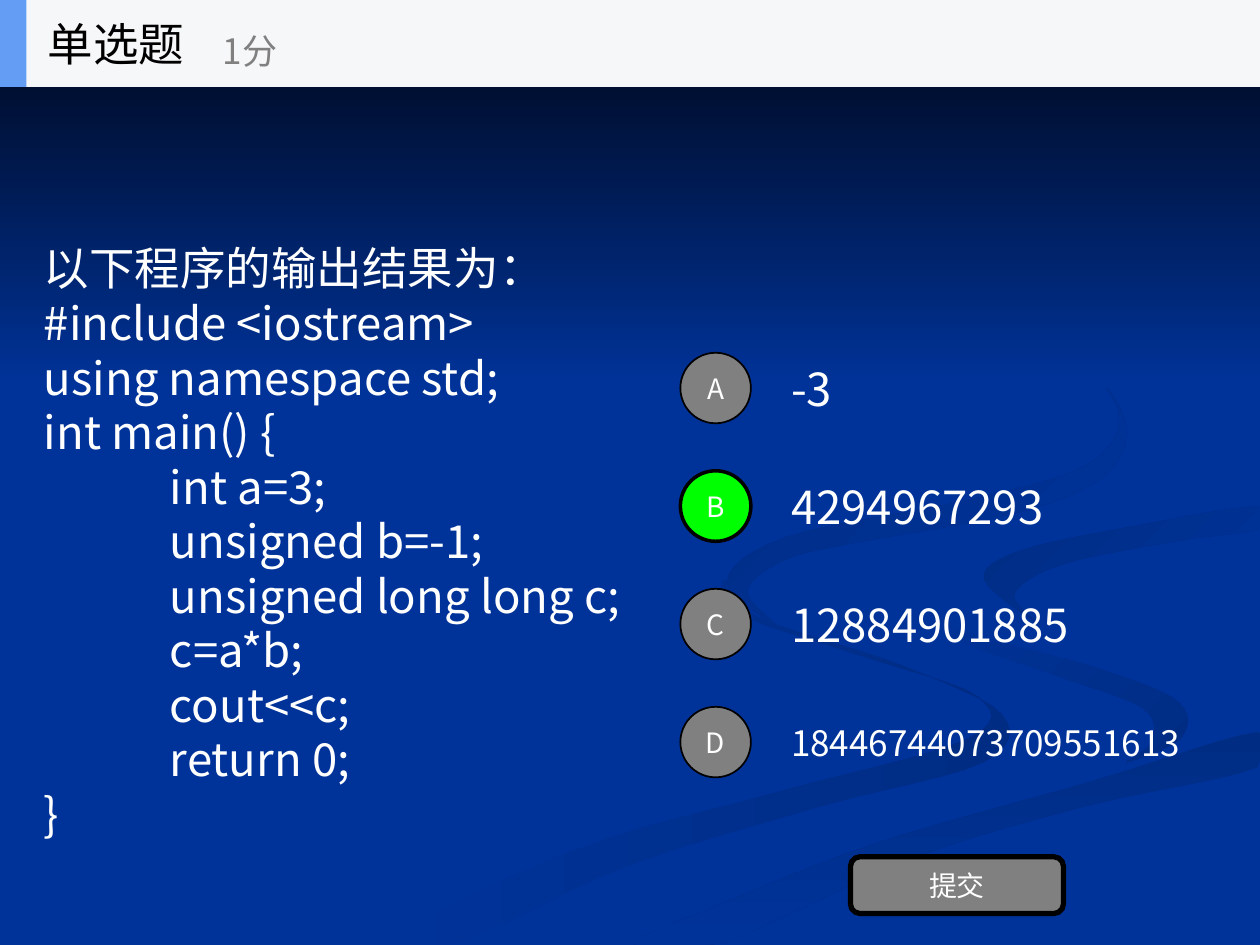
from dataclasses import dataclass

from lxml.etree import SubElement
from pptx import Presentation
from pptx.dml.color import RGBColor
from pptx.enum.shapes import MSO_SHAPE
from pptx.enum.text import MSO_ANCHOR, MSO_AUTO_SIZE, PP_ALIGN
from pptx.oxml.ns import qn
from pptx.shapes.autoshape import Shape
from pptx.slide import Slide
from pptx.util import Inches, Pt


@dataclass(frozen=True)
class Theme:
    font: str = "Noto Sans CJK SC"
    navy: str = "003399"
    shade: str = "002C84"
    night: str = "000514"
    white: str = "FFFFFF"
    black: str = "000000"
    grey: str = "808080"
    correct: str = "00FF00"
    banner: str = "F6F7F8"
    accent: str = "639EF4"
    body_size: int = 26
    small_size: int = 20
    button_size: int = 16


@dataclass(frozen=True)
class Frame:
    left: float
    top: float
    width: float
    height: float

    def lengths(self) -> tuple:
        return tuple(Inches(v) for v in (self.left, self.top, self.width, self.height))


@dataclass(frozen=True)
class Ribbon:
    start: str
    end: str
    angle: int
    outline: tuple


@dataclass(frozen=True)
class Option:
    letter: str
    answer: str
    correct: bool = False
    size: int = 26
    width: float = 3.16


THEME = Theme()
SLIDE_WIDTH, SLIDE_HEIGHT = 10, 7.5
CURVE_STEPS = 6

RIBBONS = (
    Ribbon(THEME.navy, THEME.shade, 0, (
        (5.75, 4.6), (5.86, 4.87), (6.79, 5.19), (7.76, 5.53), (7.67, 5.87), (6.16, 6.29),
        (4.58, 6.74), (3, 7.49), (3.61, 7.49), (4.99, 6.87), (6.51, 6.4), (7.8, 6.05),
        (7.95, 5.67), (7.15, 5.28), (6.02, 4.9))),
    Ribbon(THEME.navy, THEME.shade, 45, (
        (7.24, 4.64), (7.55, 5.05), (8.38, 5.36), (9.07, 5.62), (9.14, 5.89), (8.94, 6.05),
        (9.37, 5.86), (9.35, 5.57), (8.7, 5.3), (7.58, 4.98))),
    Ribbon(THEME.shade, THEME.navy, 90, (
        (5.03, 7.49), (5.71, 7.49), (7.22, 6.82), (8.61, 6.4), (9.98, 6.09), (9.98, 5.81),
        (8.67, 6.2), (6.96, 6.69), (5.69, 7.19))),
    Ribbon(THEME.shade, THEME.navy, 45, (
        (7.81, 4.6), (8.26, 4.96), (8.05, 4.72), (8.43, 4.48), (9.36, 4.29), (9.98, 4.2),
        (9.98, 4.02), (8.98, 4.18), (8.1, 4.37))),
    Ribbon(THEME.shade, THEME.navy, 45, (
        (6.83, 4.3), (8.07, 4.07), (8.76, 3.78), (8.93, 3.35), (8.54, 2.83), (7.62, 2.33),
        (8.46, 2.79), (8.88, 3.28), (8.61, 3.7), (7.63, 3.98), (6.25, 4.26), (5.77, 4.62),
        (6.22, 5), (5.93, 4.7), (6.24, 4.44))),
)

QUESTION = (
    "以下程序的输出结果为：",
    "#include <iostream>",
    "using namespace std;",
    "int main() {",
    "\tint a=3;",
    "\tunsigned b=-1;",
    "\tunsigned long long c;",
    "\tc=a*b;",
    "\tcout<<c;",
    "\treturn 0;",
    "}",
)

OPTIONS = (
    Option("A", "-3"),
    Option("B", "4294967293", correct=True),
    Option("C", "12884901885"),
    Option("D", "18446744073709551613", size=THEME.small_size, width=3.55),
)
FIRST_TOP, LAST_TOP = 2.73, 5.54


def curve_value(a: float, b: float, c: float, d: float, t: float) -> float:
    bend = (2 * a - 5 * b + 4 * c - d) * t**2 + (3 * b - a - 3 * c + d) * t**3
    return b + ((c - a) * t + bend) / 2


def smooth_outline(knots: tuple) -> list:
    points = []
    for index in range(len(knots)):
        near = [knots[(index + shift) % len(knots)] for shift in (-1, 0, 1, 2)]
        for step in range(CURVE_STEPS):
            x, y = (curve_value(*axis, step / CURVE_STEPS) for axis in zip(*near))
            points.append((Inches(min(x, SLIDE_WIDTH)), Inches(min(y, SLIDE_HEIGHT))))
    return points


def write_lines(box: Shape, lines: tuple, size: int, color: str,
                align: PP_ALIGN = PP_ALIGN.LEFT) -> None:
    frame = box.text_frame
    frame.word_wrap = True
    frame.auto_size = MSO_AUTO_SIZE.NONE
    frame.vertical_anchor = MSO_ANCHOR.MIDDLE
    for index, line in enumerate(lines):
        para = frame.add_paragraph() if index else frame.paragraphs[0]
        para.alignment = align
        if line.startswith("\t"):
            tabs = SubElement(para._p.get_or_add_pPr(), qn("a:tabLst"))
            SubElement(tabs, qn("a:tab"), pos=str(Inches(1)), algn="l")
        span = para.add_run()
        span.text = line
        span.font.size = Pt(size)
        span.font.name = THEME.font
        span.font.color.rgb = RGBColor.from_string(color)
        SubElement(span._r.get_or_add_rPr(), qn("a:ea"), typeface=THEME.font)


def add_text(page: Slide, frame: Frame, lines: tuple, size: int, color: str) -> None:
    write_lines(page.shapes.add_textbox(*frame.lengths()), lines, size, color)


def add_block(page: Slide, kind: MSO_SHAPE, frame: Frame, fill: str, line: int = 0) -> Shape:
    shape = page.shapes.add_shape(kind, *frame.lengths())
    shape.shadow.inherit = False
    shape.fill.solid()
    shape.fill.fore_color.rgb = RGBColor.from_string(fill)
    if line:
        shape.line.color.rgb = RGBColor.from_string(THEME.black)
        shape.line.width = Pt(line)
    else:
        shape.line.fill.background()
    return shape


def fill_gradient(shape: Shape, start: str, end: str, angle: int) -> None:
    shape.fill.gradient()
    shape.fill.gradient_angle = (360 - angle) % 360
    for position, (stop, color) in enumerate(zip(shape.fill.gradient_stops, (start, end))):
        stop.color.rgb = RGBColor.from_string(color)
        stop.position = position


def add_ribbon(page: Slide, ribbon: Ribbon) -> None:
    first, *rest = smooth_outline(ribbon.outline)
    builder = page.shapes.build_freeform(*first)
    builder.add_line_segments(rest, close=True)
    shape = builder.convert_to_shape()
    shape.shadow.inherit = False
    shape.line.fill.background()
    fill_gradient(shape, ribbon.start, ribbon.end, ribbon.angle)


def add_option(page: Slide, option: Option, top: float) -> None:
    add_text(page, Frame(6.18, top, option.width, 0.7), (option.answer,), option.size, THEME.white)
    fill, line = (THEME.correct, 2) if option.correct else (THEME.grey, 1)
    circle = add_block(page, MSO_SHAPE.OVAL, Frame(5.4, top + 0.07, 0.56, 0.56), fill, line)
    write_lines(circle, (option.letter,), THEME.button_size, THEME.white, PP_ALIGN.CENTER)


def add_header(page: Slide) -> None:
    add_block(page, MSO_SHAPE.RECTANGLE, Frame(0, 0, SLIDE_WIDTH, 0.69), THEME.banner)
    add_block(page, MSO_SHAPE.RECTANGLE, Frame(0, 0, 0.21, 0.69), THEME.accent)
    title = page.shapes.title
    title.left, title.top, title.width, title.height = Frame(0.28, 0, 2.08, 0.69).lengths()
    write_lines(title, ("单选题",), THEME.body_size, THEME.black)
    page.shapes._spTree.append(title.element)
    add_text(page, Frame(1.67, 0.12, 2.5, 0.56), ("1分",), THEME.small_size, THEME.grey)


def main() -> None:
    deck = Presentation()
    deck.slide_width, deck.slide_height = Inches(SLIDE_WIDTH), Inches(SLIDE_HEIGHT)
    page = deck.slides.add_slide(deck.slide_layouts[5])
    page.background.fill.solid()
    page.background.fill.fore_color.rgb = RGBColor.from_string(THEME.navy)
    for ribbon in RIBBONS:
        add_ribbon(page, ribbon)
    sky = add_block(page, MSO_SHAPE.RECTANGLE, Frame(0, 0, SLIDE_WIDTH, 3.08), THEME.navy)
    fill_gradient(sky, THEME.night, THEME.navy, 90)
    add_text(page, Frame(0.25, 1.79, 5.04, 5), QUESTION, THEME.body_size, THEME.white)
    pitch = (LAST_TOP - FIRST_TOP) / (len(OPTIONS) - 1)
    for index, option in enumerate(OPTIONS):
        add_option(page, option, FIRST_TOP + index * pitch)
    button = add_block(page, MSO_SHAPE.ROUNDED_RECTANGLE, Frame(6.75, 6.8, 1.69, 0.45), THEME.grey, 3)
    write_lines(button, ("提交",), THEME.button_size, THEME.white, PP_ALIGN.CENTER)
    add_header(page)
    deck.save("out.pptx")


if __name__ == "__main__":
    main()
